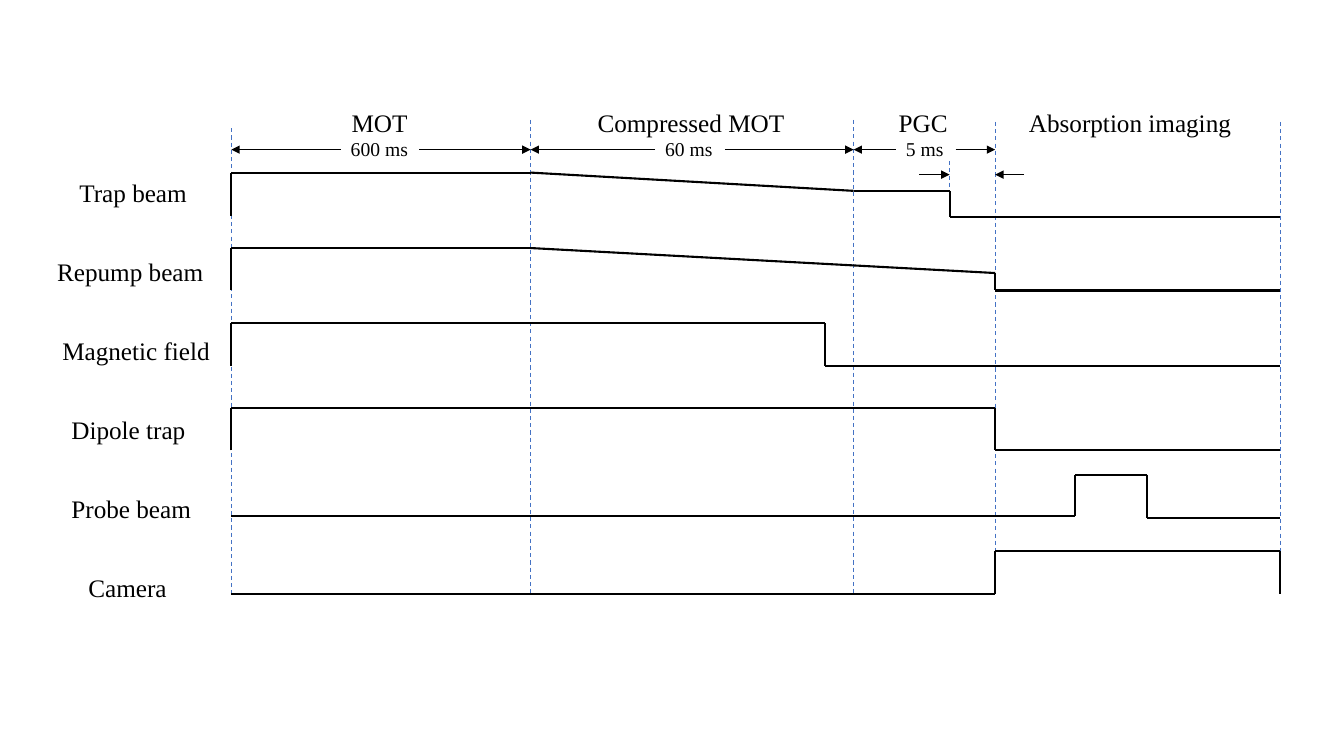
from dataclasses import dataclass
from itertools import pairwise

from pptx import Presentation
from pptx import util as u
from pptx.dml.color import RGBColor
from pptx.enum import dml, shapes, text
from pptx.oxml.ns import qn
from lxml import etree


@dataclass(frozen=True)
class Theme:
    """Colours, font, type sizes and line widths."""
    ink: str = "000000"
    guide: str = "4472C4"
    font: str = "Times New Roman"
    label: float = 18
    small: float = 14
    trace: float = 1.5
    arrow: float = 1
    thin: float = 0.5
    dash: float = 0.75


class Chart:
    """Draws the parts of a timing diagram on one slide."""

    def __init__(self, slide, theme):
        """Keep the slide and its style."""
        self.slide = slide
        self.theme = theme

    def label(self, words, x, y, w, size):
        """Add one line of text."""
        box = self.slide.shapes.add_textbox(
            u.Cm(x), u.Cm(y), u.Cm(w), u.Cm(size * 0.056))
        frame = box.text_frame
        frame.word_wrap = True
        frame.auto_size = text.MSO_AUTO_SIZE.SHAPE_TO_FIT_TEXT
        run = frame.paragraphs[0].add_run()
        run.text = words
        run.font.name = self.theme.font
        run.font.size = u.Pt(size)
        run.font.color.rgb = RGBColor.from_string(self.theme.ink)

    def line(self, start, end, width, colour):
        """Add a straight line without a shadow."""
        link = self.slide.shapes.add_connector(
            shapes.MSO_CONNECTOR.STRAIGHT, *map(u.Cm, start + end))
        link.line.width = u.Pt(width)
        link.line.color.rgb = RGBColor.from_string(colour)
        etree.SubElement(link.element.spPr, qn("a:effectLst"))
        return link

    def guide(self, x, top, base):
        """Add a dashed vertical line."""
        link = self.line((x, top), (x, base), self.theme.dash, self.theme.guide)
        link.line.dash_style = dml.MSO_LINE.DASH

    def arrow(self, start, end, y, width):
        """Add a level arrow."""
        link = self.line((start, y), (end, y), width, self.theme.ink)
        etree.SubElement(link.line._get_or_add_ln(), qn("a:tailEnd"),
                         type="triangle")

    def trace(self, points):
        """Join the points of one signal."""
        for start, end in pairwise(points):
            self.line(start, end, self.theme.trace, self.theme.ink)


LOAD, SQUEEZE, COOL, IMAGE, END = 5.83, 13.37, 21.51, 25.08, 32.26
OFF, FIELD, PULSE, DONE = 23.93, 20.78, 27.1, 28.91
HEAD, TIME, SPAN, DELAY, BASE = 2.59, 3.33, 3.77, 4.4, 14.96
ROW, STEP = 4.34, 1.99

GUIDES = [(LOAD, 3.23, BASE), (SQUEEZE, 3.02, BASE), (COOL, 3.02, BASE),
          (IMAGE, 3.07, BASE), (END, 3.07, BASE), (OFF, 4.06, 5.44)]

HEADS = [("MOT", 8.61, 1.93), ("Compressed MOT", 14.81, 5.26),
         ("PGC", 22.4, 1.8), ("Absorption imaging", 25.68, 5.97)]

TIMES = [("600 ms", 8.59, 1.98, LOAD, SQUEEZE),
         ("60 ms", 16.51, 1.76, SQUEEZE, COOL),
         ("5 ms", 22.58, 1.5, COOL, IMAGE)]

SIGNALS = [
    ("Trap beam", 1.75, 3.43,
     [(LOAD, 5.44), (LOAD, 4.35), (SQUEEZE, 4.35), (COOL, 4.81),
      (OFF, 4.81), (OFF, 5.46), (END, 5.46)]),
    ("Repump beam", 1.19, 4.22,
     [(LOAD, 7.32), (LOAD, 6.25), (SQUEEZE, 6.25), (IMAGE, 6.88),
      (IMAGE, 7.32), (END, 7.32)]),
    ("Magnetic field", 1.32, 4.27,
     [(LOAD, 9.22), (LOAD, 8.14), (FIELD, 8.14), (FIELD, 9.22), (END, 9.22)]),
    ("Dipole trap", 1.55, 3.45,
     [(LOAD, 11.35), (LOAD, 10.29), (IMAGE, 10.29), (IMAGE, 11.35),
      (END, 11.35)]),
    ("Probe beam", 1.55, 4.27,
     [(LOAD, 13), (PULSE, 13), (PULSE, 11.96), (DONE, 11.96), (DONE, 13.05),
      (END, 13.05)]),
    ("Camera", 1.98, 2.64,
     [(LOAD, BASE), (IMAGE, BASE), (IMAGE, 13.89), (END, 13.89),
      (END, BASE)]),
]


def main():
    """Build and save the timing diagram."""
    deck = Presentation()
    deck.slide_width, deck.slide_height = u.Cm(33.87), u.Cm(19.05)
    theme = Theme()
    chart = Chart(deck.slides.add_slide(deck.slide_layouts[6]), theme)

    for mark in GUIDES:
        chart.guide(*mark)
    for name, x, w in HEADS:
        chart.label(name, x, HEAD, w, theme.label)
    for name, x, w, left, right in TIMES:
        chart.label(name, x, TIME, w, theme.small)
        chart.arrow(x, left, SPAN, theme.arrow)
        chart.arrow(x + w, right, SPAN, theme.arrow)
    chart.arrow(23.16, OFF, DELAY, theme.thin)
    chart.arrow(25.81, IMAGE, DELAY, theme.thin)
    for row, (name, x, w, points) in enumerate(SIGNALS):
        chart.label(name, x, ROW + row * STEP, w, theme.label)
        chart.trace(points)

    deck.save("out.pptx")


if __name__ == "__main__":
    main()
